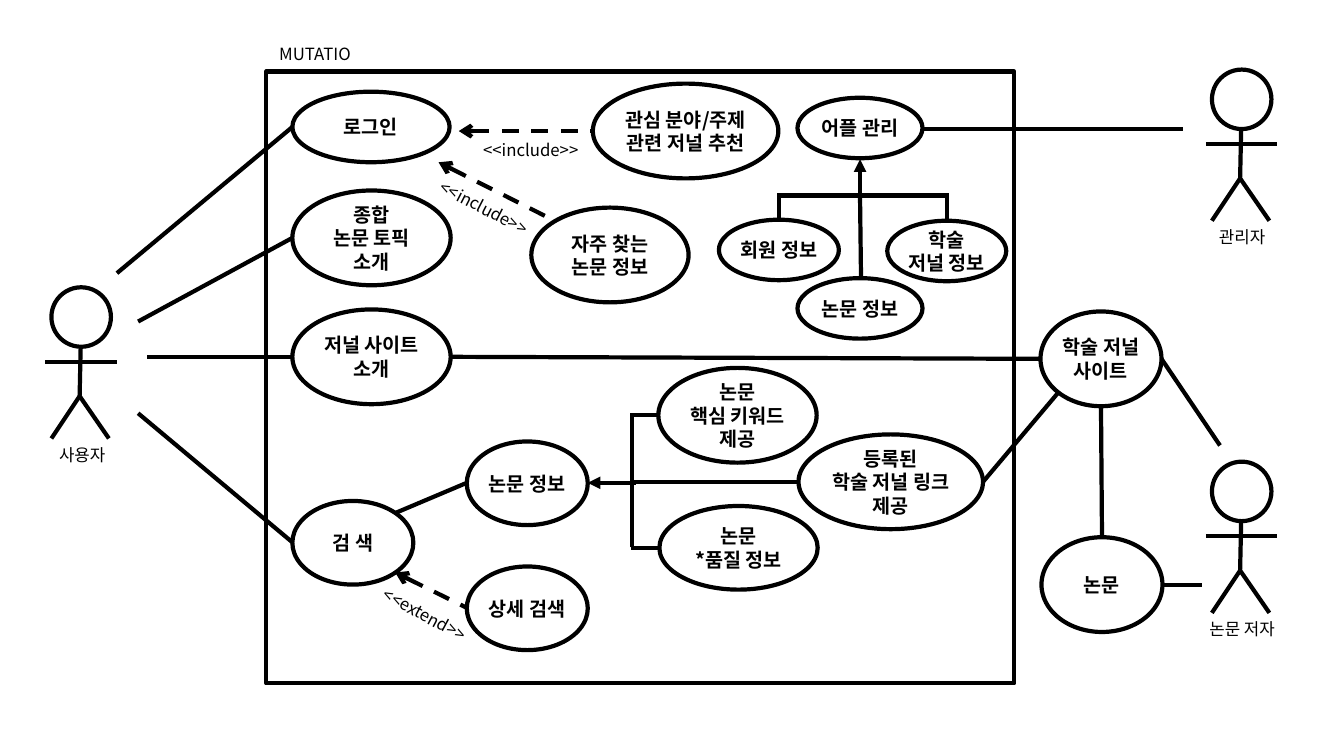
from dataclasses import dataclass

from lxml.etree import SubElement
from pptx import Presentation
from pptx.dml.color import RGBColor as Rgb
from pptx.enum.dml import MSO_LINE as Dash
from pptx.enum.shapes import MSO_CONNECTOR as Link, MSO_SHAPE as Form
from pptx.enum.text import MSO_ANCHOR as Anchor, PP_ALIGN as Align
from pptx.oxml.ns import qn
from pptx.util import Inches, Pt


@dataclass(frozen=True)
class Theme:
    """Colours, font and sizes of the slide."""
    ink: Rgb = Rgb(0, 0, 0)
    font: str = "Noto Sans CJK KR"
    case: Pt = Pt(14)
    note: Pt = Pt(12)
    line: Pt = Pt(3)


THEME = Theme()
LEFT = 2.9

CASES = [
    ("로그인", LEFT, 0.91, 1.56, 0.7),
    ("종합\n논문 토픽\n소개", LEFT, 1.89, 1.57, 0.94),
    ("저널 사이트\n소개", LEFT, 3.07, 1.57, 0.94),
    ("검 색", LEFT, 4.97, 1.2, 0.83),
    ("관심 분야/주제\n관련 저널 추천", 5.88, 0.83, 1.84, 0.94),
    ("자주 찾는\n논문 정보", 5.27, 2.06, 1.56, 0.94),
    ("논문 정보", 4.63, 4.38, 1.2, 0.83),
    ("상세 검색", 4.63, 5.62, 1.2, 0.83),
    ("논문\n핵심 키워드\n제공", 6.53, 3.65, 1.57, 0.94),
    ("논문\n*품질 정보", 6.54, 5.02, 1.57, 0.83),
    ("등록된\n학술 저널 링크\n제공", 7.92, 4.31, 1.83, 0.94),
    ("어플 관리", 7.91, 0.97, 1.24, 0.6),
    ("회원 정보", 7.13, 2.18, 1.19, 0.6),
    ("논문 정보", 7.91, 2.76, 1.24, 0.6),
    ("학술\n저널 정보", 8.8, 2.19, 1.18, 0.6),
    ("학술 저널\n사이트", 10.32, 3.09, 1.2, 0.94),
    ("논문", 10.33, 5.33, 1.2, 0.94),
]

LINKS = [
    (1.16, 2.71, LEFT, 1.26),
    (1.37, 3.19, LEFT, 2.36),
    (1.46, 3.54, LEFT, 3.54),
    (1.37, 4.1, LEFT, 5.38),
    (4.46, 3.54, 10.32, 3.56),
    (3.92, 5.09, 4.63, 4.79),
    (6.26, 4.12, 6.53, 4.12),
    (6.26, 4.78, 7.92, 4.78),
    (6.26, 5.44, 6.54, 5.44),
    (6.27, 5.43, 6.27, 4.1),
    (9.75, 4.78, 10.5, 3.89),
    (10.92, 4.03, 10.93, 5.33),
    (11.52, 3.56, 12.1, 4.42),
    (11.53, 5.8, 11.92, 5.8),
    (11.73, 1.28, 9.15, 1.28),
    (9.41, 1.94, 7.71, 1.94),
    (7.73, 1.94, 7.73, 2.18),
    (8.53, 1.96, 8.54, 2.76),
    (9.39, 1.94, 9.39, 2.19),
]

PARENTS = [(5.83, 4.79, 6.31, 4.79), (8.53, 1.58, 8.53, 2.01)]

DEPENDS = [
    (4.55, 1.3, 5.88, 1.3),
    (4.35, 1.61, 5.5, 2.19),
    (3.92, 5.68, 4.63, 6.03),
]

NOTES = [
    ("MUTATIO", 2.54, 0.38, 1.17, 0.57, 0),
    ("<<include>>", 4.45, 1.34, 1.63, 0.3, 0),
    ("<<include>>", 4.02, 1.91, 1.56, 0.3, 27.2),
    ("<<extend>>", 3.45, 5.93, 1.4, 0.57, 28.2),
    ("사용자", 0.32, 4.36, 0.99, 0.3, 0),
    ("관리자", 11.7, 2.2, 1.24, 0.3, 0),
    ("논문 저자", 11.7, 6.09, 1.24, 0.3, 0),
]

ACTORS = [(0.51, 2.85), (12.02, 0.69), (12.02, 4.58)]

LIMBS = [
    (0.29, 0.59, 0.28, 1.08),
    (0.28, 1.08, 0, 1.5),
    (0.28, 1.08, 0.57, 1.5),
    (-0.06, 0.74, 0.65, 0.74),
]


def add_form(shapes, form, *box):
    """Add an unfilled outline shape."""
    shape = shapes.add_shape(form, *map(Inches, box))
    shape.shadow.inherit = False
    shape.fill.background()
    shape.line.color.rgb = THEME.ink
    shape.line.width = THEME.line
    return shape


def add_line(shapes, ends, head=None, dash=False):
    """Add a straight line, with an arrowhead at its start if named."""
    link = shapes.add_connector(Link.STRAIGHT, *map(Inches, ends))
    link.line.color.rgb = THEME.ink
    link.line.width = THEME.line
    if dash:
        link.line.dash_style = Dash.DASH
    props = link._element.spPr
    if head:
        SubElement(props.find(qn("a:ln")), qn("a:headEnd"), type=head)
    SubElement(props, qn("a:effectLst"))


def set_text(frame, text, size, bold=False):
    """Fill a frame with centred text in the theme font."""
    frame.text = text
    frame.word_wrap = True
    for para in frame.paragraphs:
        para.alignment = Align.CENTER
        for run in para.runs:
            font = run.font
            font.size, font.bold = size, bold
            font.color.rgb = THEME.ink
            font.name = THEME.font
            SubElement(font._element, qn("a:ea"), typeface=THEME.font)


def add_case(shapes, text, *box):
    """Add a use case ellipse with its name."""
    frame = add_form(shapes, Form.OVAL, *box).text_frame
    frame.margin_left = frame.margin_right = 0
    frame.margin_top = frame.margin_bottom = 0
    frame.vertical_anchor = Anchor.MIDDLE
    set_text(frame, text, THEME.case, True)


def add_note(shapes, text, *place):
    """Add a small label, turned by the last value in degrees."""
    *box, turn = place
    note = shapes.add_textbox(*map(Inches, box))
    note.rotation = turn
    set_text(note.text_frame, text, THEME.note)


def add_actor(shapes, left, top):
    """Add a grouped stick figure."""
    parts = shapes.add_group_shape().shapes
    add_form(parts, Form.OVAL, left, top, 0.59, 0.59)
    for x1, y1, x2, y2 in LIMBS:
        add_line(parts, (left + x1, top + y1, left + x2, top + y2))


def main():
    """Build the use case diagram and save it."""
    deck = Presentation()
    deck.slide_width, deck.slide_height = Inches(13.33), Inches(7.5)
    shapes = deck.slides.add_slide(deck.slide_layouts[6]).shapes
    add_form(shapes, Form.RECTANGLE, 2.64, 0.71, 7.42, 6.07)
    for case in CASES:
        add_case(shapes, *case)
    for ends in LINKS:
        add_line(shapes, ends)
    for ends in PARENTS:
        add_line(shapes, ends, "triangle")
    for ends in DEPENDS:
        add_line(shapes, ends, "arrow", True)
    for spot in ACTORS:
        add_actor(shapes, *spot)
    for note in NOTES:
        add_note(shapes, *note)
    deck.save("out.pptx")


if __name__ == "__main__":
    main()
